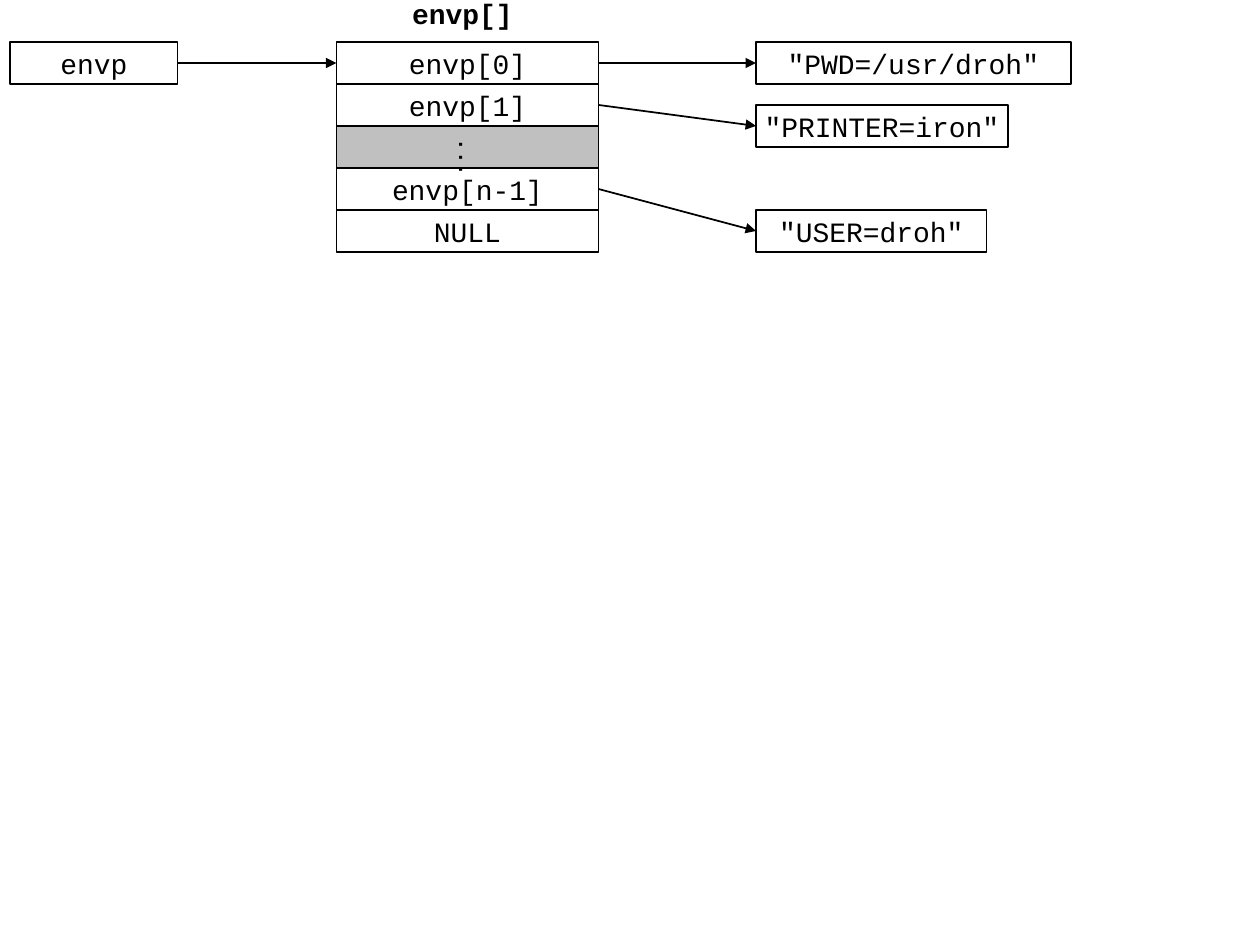
from lxml import etree
from pptx import Presentation
from pptx import util as u
from pptx.dml.color import RGBColor
from pptx.enum import shapes, text
from pptx.oxml.ns import qn

BLACK = RGBColor(0, 0, 0)
GRAY = RGBColor(0xC0, 0xC0, 0xC0)
ROW = 1 / 3
ARRAY_LEFT = 2.67
STRING_LEFT = 6

deck = Presentation()
deck.slide_width, deck.slide_height = u.Inches(10), u.Inches(7.5)
page = deck.slides.add_slide(deck.slide_layouts[6])


def write(box, words, size=16, bold=False):
    frame = box.text_frame
    frame.word_wrap = False
    frame.vertical_anchor = text.MSO_ANCHOR.MIDDLE
    para = frame.paragraphs[0]
    para.alignment = text.PP_ALIGN.CENTER
    span = para.add_run()
    span.text = words
    looks = {"name": "Courier New", "size": u.Pt(size), "bold": bold}
    for key, value in looks.items():
        setattr(span.font, key, value)
    span.font.color.rgb = BLACK


def add_cell(left, top, width):
    cell = page.shapes.add_shape(
        shapes.MSO_SHAPE.RECTANGLE,
        u.Inches(left), u.Inches(top), u.Inches(width), u.Inches(ROW))
    cell.shadow.inherit = False
    cell.fill.background()
    cell.line.color.rgb = BLACK
    cell.line.width = u.Pt(1)
    return cell


pointer = add_cell(0.08, ROW, 1.33)
write(pointer, "envp")

entries = []
for row, words in enumerate(["envp[0]", "envp[1]", "...", "envp[n-1]", "NULL"], 1):
    entry = add_cell(ARRAY_LEFT, row * ROW, 2.08)
    entries.append(entry)
    if words != "...":
        write(entry, words)
        continue
    entry.fill.solid()
    entry.fill.fore_color.rgb = GRAY
    write(entry, words, size=12, bold=True)
    margins = {"margin_left": 0.05, "margin_right": 0.05,
               "margin_top": 0.1, "margin_bottom": 0.1}
    for key, value in margins.items():
        setattr(entry.text_frame, key, u.Inches(value))
    entry.text_frame._txBody.bodyPr.set("vert", "eaVert")

links = [(pointer, entries[0])]
strings = [
    (0, '"PWD=/usr/droh"', 1, 2.5),
    (1, '"PRINTER=iron"', 2.5, 2),
    (3, '"USER=droh"', 5, 1.83),
]
for index, words, row, width in strings:
    string = add_cell(STRING_LEFT, row * ROW, width)
    write(string, words)
    links.append((entries[index], string))

for source, target in links:
    arrow = page.shapes.add_connector(shapes.MSO_CONNECTOR.STRAIGHT, 0, 0, 0, 0)
    arrow.begin_connect(source, 3)
    arrow.end_connect(target, 1)
    arrow.line.color.rgb = BLACK
    arrow.line.width = u.Pt(1)
    etree.SubElement(arrow.line._get_or_add_ln(), qn("a:tailEnd"), type="triangle")
    etree.SubElement(arrow._element.spPr, qn("a:effectLst"))

title = page.shapes.add_textbox(
    u.Inches(3.17), u.Inches(-0.08), u.Inches(1), u.Inches(0.37))
write(title, "envp[]", bold=True)
title.text_frame.auto_size = text.MSO_AUTO_SIZE.SHAPE_TO_FIT_TEXT

deck.save("out.pptx")
